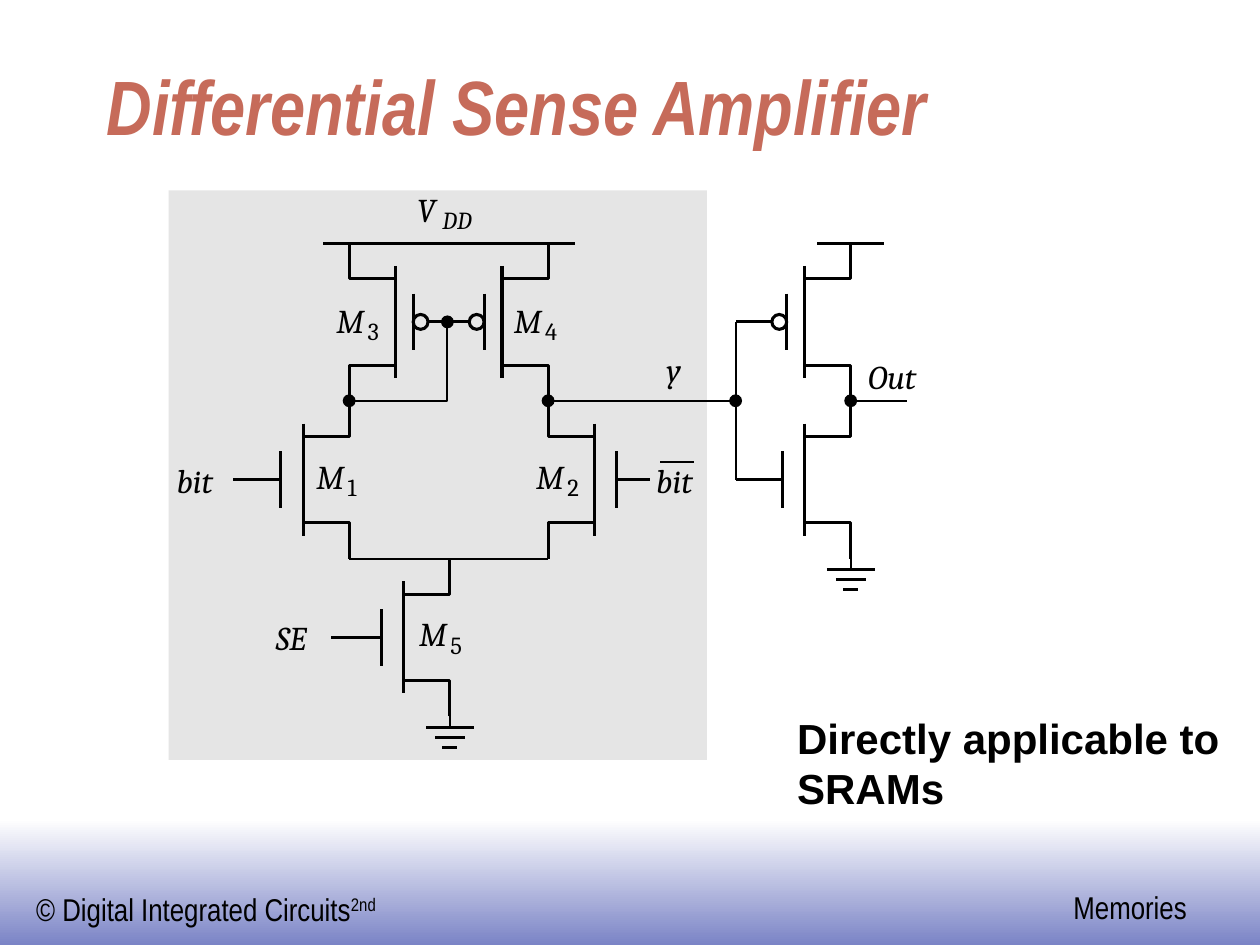
from lxml import etree
from pptx import Presentation
from pptx.dml.color import RGBColor
from pptx.enum.shapes import MSO_CONNECTOR, MSO_SHAPE
from pptx.enum.text import MSO_ANCHOR, MSO_AUTO_SIZE, PP_ALIGN
from pptx.oxml.ns import qn
from pptx.util import Cm, Pt

STRAIGHT = MSO_CONNECTOR.STRAIGHT
RECTANGLE, OVAL = MSO_SHAPE.RECTANGLE, MSO_SHAPE.OVAL
NO_FIT = MSO_AUTO_SIZE.NONE
BOTTOM, LEFT = MSO_ANCHOR.BOTTOM, PP_ALIGN.LEFT

COLORS = {
    "ink": "000000",
    "title": "C66B5A",
    "panel": "E5E5E5",
    "band_top": "FFFFFF",
    "band_bottom": "7B84C6",
}
THICK, THIN = 1.75, 1.13  # points

# Circuit grid, in centimetres
SUPPLY_Y = 4.9
STAGE = 3.18  # height of one transistor
OUTPUT_Y = SUPPLY_Y + STAGE
TAIL_Y = OUTPUT_Y + STAGE
GROUND_Y = TAIL_Y + STAGE
GATE_MID = STAGE / 2
LEFT_X, RIGHT_X, TAIL_X, OUT_X = 7.04, 11.05, 9.07, 17.15
MIRROR_X, INVERTER_X = 9.02, 14.83
DOT, BUBBLE = 0.26, 0.3


def color(name):
    return RGBColor.from_string(COLORS[name])


def write(box, text, font="Cambria", size=19, bold=False, italic=False,
          ink="ink", superscript=""):
    """Fill the first paragraph of a box; newlines become line breaks."""
    para = box.text_frame.paragraphs[0]
    para.alignment = LEFT
    spans = []
    for index, line in enumerate(text.split("\n")):
        if index:
            para.add_line_break()
        spans.append(para.add_run())
        spans[-1].text = line
    if superscript:
        spans.append(para.add_run())
        spans[-1].text = superscript
        spans[-1]._r.get_or_add_rPr().set("baseline", "30000")
    for span in spans:
        span.font.name, span.font.size = font, Pt(size)
        span.font.bold, span.font.italic = bold, italic
        span.font.color.rgb = color(ink)


def add_text(slide, text, left, top, width, height, inset=True, **style):
    box = slide.shapes.add_textbox(Cm(left), Cm(top), Cm(width), Cm(height))
    frame = box.text_frame
    frame.word_wrap = True
    frame.auto_size = NO_FIT
    if not inset:
        frame.margin_left = frame.margin_right = 0
        frame.margin_top = frame.margin_bottom = 0
    write(box, text, **style)


def add_label(slide, text, left, top, width):
    add_text(slide, text, left, top, width, 0.81, inset=False, italic=True)


def add_indexed_label(slide, text, index, left, top, gap=0.63, italic=False):
    add_label(slide, text, left, top, gap)
    add_text(slide, index, left + gap, top + 0.33, 0.4 * len(index), 0.58,
             inset=False, size=14, italic=italic)


def add_shape(slide, kind, left, top, width, height, fill=None):
    shape = slide.shapes.add_shape(kind, Cm(left), Cm(top), Cm(width), Cm(height))
    shape.shadow.inherit = False
    shape.line.fill.background()
    if fill:
        shape.fill.solid()
        shape.fill.fore_color.rgb = color(fill)
    return shape


def set_stroke(shape, width):
    shape.line.color.rgb = color("ink")
    shape.line.width = Pt(width)


def add_line(slide, x1, y1, x2, y2, width=THICK):
    line = slide.shapes.add_connector(STRAIGHT, Cm(x1), Cm(y1), Cm(x2), Cm(y2))
    set_stroke(line, width)
    etree.SubElement(line._element.spPr, qn("a:effectLst"))


def add_wire(slide, points, width=THICK):
    """Open polyline through points in centimetres."""
    corners = [(Cm(x), Cm(y)) for x, y in points]
    builder = slide.shapes.build_freeform(*corners[0])
    builder.add_line_segments(corners[1:], close=False)
    wire = builder.convert_to_shape()
    wire.fill.background()
    wire.shadow.inherit = False
    set_stroke(wire, width)


def add_dot(slide, x, y):
    add_shape(slide, OVAL, x - DOT / 2, y - DOT / 2, DOT, DOT, "ink")


def add_transistor(slide, x, top, side, lead_x, pmos=False):
    """Terminals at x; side is +1 when the gate lies to the right, else -1."""
    channel = x + side * 0.93
    gate = channel + side * (0.36 if pmos else 0.45)
    middle = top + GATE_MID
    bottom = top + STAGE
    for end, bend in ((top, top + 0.72), (bottom, bottom - 0.72)):
        add_wire(slide, [(x, end), (x, bend), (channel, bend)])
    for plate, half in ((channel, 1.13), (gate, 0.57)):
        add_line(slide, plate, middle - half, plate, middle + half)
    lead_start = gate
    if pmos:
        lead_start = gate + side * BUBBLE
        bubble = add_shape(slide, OVAL, min(gate, lead_start),
                           middle - BUBBLE / 2, BUBBLE, BUBBLE)
        bubble.fill.background()
        set_stroke(bubble, THICK)
    add_line(slide, lead_start, middle, lead_x, middle)


def add_ground(slide, x, top):
    add_line(slide, x, top, x, top + 0.22, THIN)
    for step, half in enumerate((0.48, 0.3, 0.15)):
        y = top + 0.22 + 0.2 * step
        add_line(slide, x - half, y, x + half, y)


def add_frame(slide):
    band = add_shape(slide, RECTANGLE, 0, 16.51, 25.4, 2.54)
    band.fill.gradient()
    band.fill.gradient_angle = 270
    stops = zip(band.fill.gradient_stops, (0, 1), ("band_top", "band_bottom"))
    for stop, position, name in stops:
        stop.position = position
        stop.color.rgb = color(name)
    add_text(slide, "© Digital Integrated Circuits", 0.48, 17.81, 8.2, 1.02,
             font="Arial Narrow", size=18, superscript="2nd")
    add_text(slide, "Memories", 21.39, 17.78, 3.1, 1.02,
             font="Arial Narrow", size=18)

    title = slide.shapes.title
    title.left, title.top = Cm(1.9), Cm(0.84)
    title.width, title.height = Cm(21.6), Cm(2.32)
    title.text_frame.vertical_anchor = BOTTOM
    title.text_frame.auto_size = NO_FIT
    write(title, "Differential Sense Amplifier", font="Arial Narrow", size=44,
          bold=True, italic=True, ink="title")


def add_circuit(slide):
    add_shape(slide, RECTANGLE, 3.4, 3.84, 10.85, 11.48, "panel")
    add_transistor(slide, LEFT_X, SUPPLY_Y, 1, MIRROR_X, pmos=True)
    add_transistor(slide, RIGHT_X, SUPPLY_Y, -1, MIRROR_X, pmos=True)
    add_transistor(slide, LEFT_X, OUTPUT_Y, -1, 4.7)
    add_transistor(slide, RIGHT_X, OUTPUT_Y, 1, 13.11)
    add_transistor(slide, TAIL_X, TAIL_Y, -1, 6.68)
    add_transistor(slide, OUT_X, SUPPLY_Y, -1, INVERTER_X, pmos=True)
    add_transistor(slide, OUT_X, OUTPUT_Y, -1, INVERTER_X)
    add_ground(slide, TAIL_X, GROUND_Y)
    add_ground(slide, OUT_X, TAIL_Y)

    for start, end in ((6.52, 11.6), (16.47, 17.82)):
        add_line(slide, start, SUPPLY_Y, end, SUPPLY_Y)
    for start, end, y in ((LEFT_X, RIGHT_X, TAIL_Y),
                          (RIGHT_X, INVERTER_X, OUTPUT_Y),
                          (OUT_X, 18.29, OUTPUT_Y)):
        add_line(slide, start, y, end, y, THIN)
    mirror_y = SUPPLY_Y + GATE_MID
    add_line(slide, INVERTER_X, mirror_y, INVERTER_X, OUTPUT_Y + GATE_MID, THIN)
    add_wire(slide, [(LEFT_X, OUTPUT_Y), (MIRROR_X, OUTPUT_Y),
                     (MIRROR_X, mirror_y)], THIN)
    add_dot(slide, MIRROR_X, mirror_y)
    for x in (LEFT_X, RIGHT_X, INVERTER_X, OUT_X):
        add_dot(slide, x, OUTPUT_Y)


def add_labels(slide):
    for index, left, top in (("1", 6.38, 9.19), ("2", 10.81, 9.19),
                             ("3", 6.78, 6.05), ("4", 10.36, 6.05),
                             ("5", 8.45, 12.37)):
        add_indexed_label(slide, "M", index, left, top)
    add_indexed_label(slide, "V", "DD", 8.41, 3.81, gap=0.51, italic=True)
    for text, left, top, width in (("bit", 3.56, 9.27, 0.95),
                                   ("bit", 13.23, 9.27, 0.95),
                                   ("SE", 5.56, 12.45, 0.9),
                                   ("Out", 17.5, 7.19, 1.25),
                                   ("y", 13.44, 7.04, 0.4)):
        add_label(slide, text, left, top, width)
    add_line(slide, 13.31, 9.32, 14, 9.32, THIN)
    add_text(slide, "Directly applicable to\nSRAMs", 15.82, 14.24, 9.3, 2.29,
             font="Arial", size=24, bold=True)


def main():
    deck = Presentation()
    deck.slide_width, deck.slide_height = Cm(25.4), Cm(19.05)
    slide = deck.slides.add_slide(deck.slide_layouts[5])
    add_frame(slide)
    add_circuit(slide)
    add_labels(slide)
    deck.save("out.pptx")


if __name__ == "__main__":
    main()
